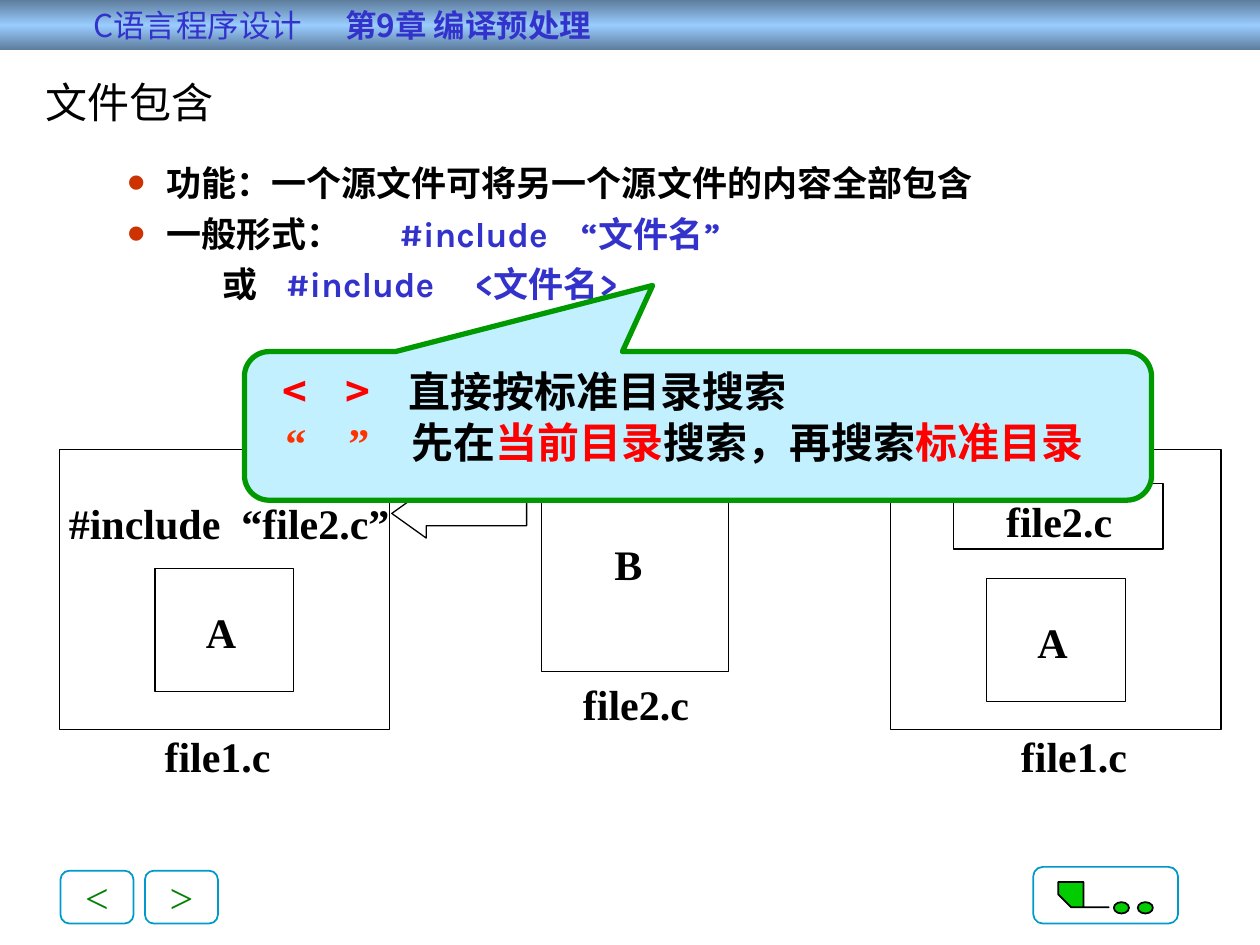
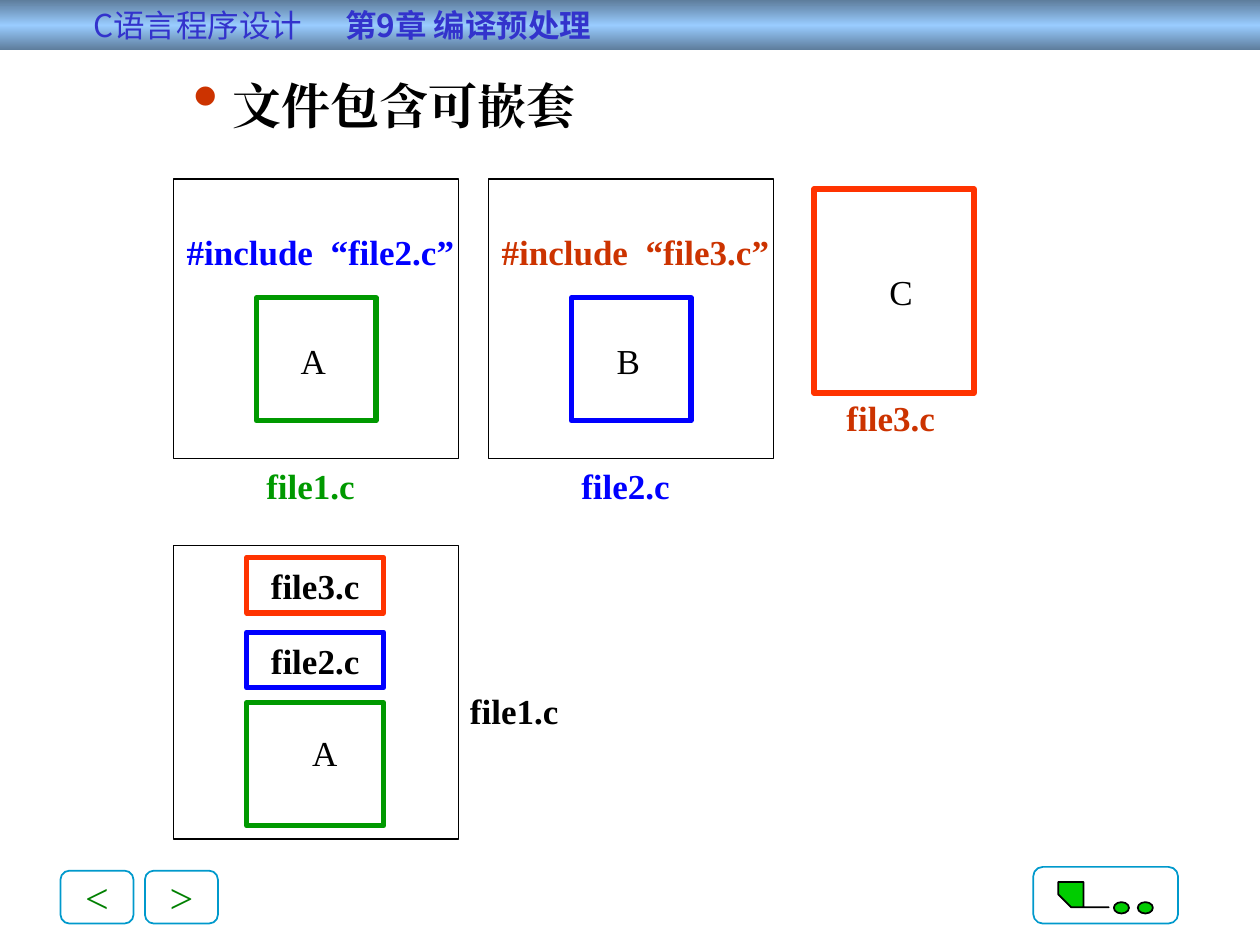
from copy import deepcopy
from dataclasses import dataclass

from pptx import Presentation, util as u
from pptx.dml.color import RGBColor
from pptx.enum import shapes, text
from pptx.oxml import ns
from lxml import etree

COLUMNS, ROWS = 100, 75
CELL = u.Inches(0.1)
SHAPE = shapes.MSO_SHAPE


class Theme:
    black, indigo, red, orange, rust = "000000", "3333CC", "FF0000", "FF3300", "CC3300"
    blue, green, dark_green, leaf = "0000FF", "009900", "008000", "00CC00"
    teal, sky, band_edge, band_middle = "0099CC", "C2F0FF", "5D7C9B", "99CCFF"
    cjk, latin, serif = "Noto Sans CJK SC", "Karla", "Times New Roman"
    band_size, body_size, title_size, topic_size = 18, 20, 24, 28
    thin, edge, thick = 0.75, 1, 3


@dataclass
class Box:
    """A region in columns and rows of the slide grid."""
    left: float
    top: float
    width: float
    height: float

    def share(self, x, y, width, height):
        return Box(self.left + x * self.width, self.top + y * self.height,
                   width * self.width, height * self.height)

    def point(self, x, y):
        return self.left + x * self.width, self.top + y * self.height

    def emu(self):
        return [round(v * CELL) for v in (self.left, self.top, self.width, self.height)]


SLIDE = Box(0, 0, COLUMNS, ROWS)


# Text helpers
def write(para, words, font=Theme.serif, size=Theme.body_size, color=Theme.black, bold=False):
    span = para.add_run()
    span.text = words
    span.font.name, span.font.size, span.font.bold = font, u.Pt(size), bold
    span.font.color.rgb = RGBColor.from_string(color)
    east_asian = etree.SubElement(span.font._element, ns.qn("a:ea"))
    east_asian.set("typeface", font)


def layout_para(para, margin=0, hang=0, bullet=False, tabs=(), before=0, align="LEFT"):
    """Set indents and tab stops (in columns), the bullet and the spacing."""
    props = para._p.get_or_add_pPr()
    props.set("marL", str(round(margin * CELL)))
    props.set("indent", str(round(-hang * CELL)))
    para.alignment = text.PP_ALIGN[align]
    para.space_before = u.Pt(before)

    def add(parent, tag, **values):
        child = etree.SubElement(parent, ns.qn(tag))
        for name, value in values.items():
            child.set(name, value)
        return child

    if bullet:
        add(add(props, "a:buClr"), "a:srgbClr", val=Theme.rust)
        add(props, "a:buSzPct", val="150000")
        add(props, "a:buChar", char="•")
    else:
        add(props, "a:buNone")
    if tabs:
        stops = add(props, "a:tabLst")
        for stop in tabs:
            add(stops, "a:tab", pos=str(round(stop * CELL)), algn="l")


def prepare(frame, anchor="TOP", wrap=True):
    frame.auto_size = text.MSO_AUTO_SIZE.NONE
    frame.word_wrap = wrap
    frame.vertical_anchor = text.MSO_ANCHOR[anchor]
    frame.margin_left = frame.margin_right = CELL
    frame.margin_top = frame.margin_bottom = CELL // 2
    return frame


def place(holder, box):
    holder.left, holder.top, holder.width, holder.height = box.emu()
    return prepare(holder.text_frame)


def label(page, center, words, size, **style):
    """Centre one line of text on a point of the grid."""
    width, height = len(words) * size * 0.08 + 2, size * 0.21
    box = Box(center[0] - width / 2, center[1] - height / 2, width, height)
    frame = prepare(page.shapes.add_textbox(*box.emu()).text_frame, "MIDDLE", wrap=False)
    layout_para(frame.paragraphs[0], align="CENTER")
    write(frame.paragraphs[0], words, size=size, **style)


# Shape helpers
def finish(shape, fill=None, line=Theme.black, weight=Theme.thin):
    shape.shadow.inherit = False
    if fill:
        shape.fill.solid()
        shape.fill.fore_color.rgb = RGBColor.from_string(fill)
    else:
        shape.fill.background()
    shape.line.color.rgb = RGBColor.from_string(line)
    shape.line.width = u.Pt(weight)
    return shape


def draw(page, kind, box, **style):
    return finish(page.shapes.add_shape(kind, *box.emu()), **style)


def curve(start, first, second, end, steps=10):
    """Points of a cubic curve, without its start."""
    for step in range(1, steps + 1):
        t = step / steps
        yield tuple((1 - t) ** 3 * a + 3 * (1 - t) ** 2 * t * b
                    + 3 * (1 - t) * t ** 2 * c + t ** 3 * d
                    for a, b, c, d in zip(start, first, second, end))


# Parts found on every slide
def header_band(page, box):
    band = draw(page, SHAPE.RECTANGLE, box)
    band.line.fill.background()
    band.fill.gradient()
    band.fill.gradient_angle = 90
    stops = band._element.find(".//" + ns.qn("a:gsLst"))
    stops.append(deepcopy(stops[0]))
    colors = Theme.band_edge, Theme.band_middle, Theme.band_edge
    for stop, color, position in zip(band.fill.gradient_stops, colors, (0, 0.5, 1)):
        stop.color.rgb = RGBColor.from_string(color)
        stop.position = position
    frame = prepare(band.text_frame, "MIDDLE")
    frame.margin_left = round(7.4 * CELL)
    para = frame.paragraphs[0]
    layout_para(para, tabs=[51.6])
    style = dict(font=Theme.cjk, size=Theme.band_size, color=Theme.indigo)
    write(para, "C语言程序设计\t", **style)
    write(para, "第9章 编译预处理", bold=True, **style)


def rounded_button(page, box):
    button = draw(page, SHAPE.ROUNDED_RECTANGLE, box, line=Theme.teal, weight=Theme.edge)
    button.adjustments[0] = 0.17
    return button


def return_button(page, box):
    def at(x, y):
        return box.left + x, box.top + y

    outer = curve(at(2.3, 2.1), at(2.3, 3), at(3.1, 3.7), at(4.2, 3.7))
    inner = curve(at(4.2, 2.9), at(3.8, 2.9), at(3.6, 2.5), at(3.6, 2.1))
    outline = [at(1.7, 1.7), at(2.3, 1.7), at(2.3, 2.1), *outer, at(6.1, 3.7),
               at(6.1, 2.9), at(4.2, 2.9), *inner, at(3.6, 1.7), at(4.2, 1.7)]
    builder = page.shapes.build_freeform(*at(2.9, 0.8), scale=CELL)
    builder.add_line_segments(outline, close=True)
    green = dict(fill=Theme.leaf, weight=Theme.edge)
    finish(builder.convert_to_shape(), **green)
    for x in (6.4, 8.3):
        draw(page, SHAPE.OVAL, Box(*at(x, 2.8), 1.2, 0.9), **green)
    rounded_button(page, box)


def navigation(page, box):
    for index, sign in enumerate("<>"):
        key = Box(box.left + index * 6.7, box.top + 0.3, 5.8, 4.2)
        rounded_button(page, key)
        label(page, key.point(0.5, 0.5), sign, Theme.title_size, color=Theme.dark_green)
    return_button(page, Box(box.left + 77.2, box.top, 11.5, 4.5))


def new_page(deck, layout):
    page = deck.slides.add_slide(deck.slide_layouts.get_by_name(layout))
    header_band(page, Box(0, 0, COLUMNS, 4))
    navigation(page, Box(4.8, 68.8, 88.7, 4.5))
    return page


# Diagrams of source files
def file_box(page, box, letter, letter_at, name, name_at, size, bold=True,
             name_color=Theme.black, **line):
    """A file with its content letter and its name."""
    draw(page, SHAPE.RECTANGLE, box, **line)
    label(page, box.point(*letter_at), letter, size, bold=bold)
    label(page, box.point(*name_at), name, size, bold=True, color=name_color)


def including_file(page, box, letter, name, included, size, bold=True,
                   name_color=Theme.black, include_color=Theme.black, **line):
    """A file that holds an include line above its own content."""
    file_box(page, box, letter, (0.49, 0.65), name, (0.48, 1.095), size, bold, name_color)
    draw(page, SHAPE.RECTANGLE, box.share(0.29, 0.425, 0.42, 0.44), **line)
    label(page, box.point(0.515, 0.26), f"#include  “{included}”", size,
          bold=True, color=include_color)


def include_diagram(page, box):
    size = Theme.title_size
    including_file(page, Box(box.left, box.top, 26.2, 22.2), "A", "file1.c", "file2.c", size)
    arrow = draw(page, SHAPE.LEFT_ARROW, Box(box.left + 26.4, box.top + 3.1, 10.7, 3.9))
    arrow.adjustments[1] = 0.7
    file_box(page, Box(box.left + 38.3, box.top + 1.4, 14.8, 16.2),
             "B", (0.465, 0.47), "file2.c", (0.505, 1.16), size)
    # Result of the inclusion
    result = Box(box.left + 66, box.top, 26.2, 22.2)
    file_box(page, result, "A", (0.49, 0.685), "file1.c", (0.555, 1.095), size)
    draw(page, SHAPE.RECTANGLE, result.share(0.29, 0.46, 0.42, 0.44))
    draw(page, SHAPE.RECTANGLE, result.share(0.19, 0.12, 0.635, 0.235))
    label(page, result.point(0.51, 0.255), "file2.c", size, bold=True)


def nested_sources(page, box):
    size = Theme.body_size
    files = [("A", "file1.c", "file2.c", Theme.green, Theme.blue),
             ("B", "file2.c", "file3.c", Theme.blue, Theme.rust)]
    for index, (letter, name, included, color, include_color) in enumerate(files):
        including_file(page, Box(box.left + index * 25, box.top, 22.6, 22.2), letter, name,
                       included, size, bold=False, name_color=color,
                       include_color=include_color, line=color, weight=Theme.thick)
    file_box(page, Box(box.left + 50.8, box.top + 0.8, 12.7, 16.2), "C", (0.545, 0.5),
             "file3.c", (0.48, 1.117), size, bold=False, name_color=Theme.rust,
             line=Theme.orange, weight=Theme.thick)


def nested_result(page, box):
    size = Theme.body_size
    file_box(page, box, "A", (0.53, 0.705), "file1.c", (1.195, 0.56), size, bold=False)
    parts = [("file3.c", Theme.orange, 0.04, 0.19), ("file2.c", Theme.blue, 0.295, 0.19),
             ("", Theme.green, 0.535, 0.42)]
    for name, color, top, height in parts:
        part = box.share(0.256, top, 0.48, height)
        draw(page, SHAPE.RECTANGLE, part, line=color, weight=Theme.thick)
        if name:
            label(page, part.point(0.5, 0.5), name, size, bold=True)


# Parts of the include slide
def include_syntax(holder, box):
    frame = place(holder, box)
    lines = [
        (dict(margin=8.1, hang=3.1, bullet=True),
         [("功能：一个源文件可将另一个源文件的内容全部包含", Theme.black)]),
        (dict(margin=8.1, hang=3.1, bullet=True, tabs=[26.6, 41], before=5),
         [("一般形式：\t", Theme.black), ("#include\t“文件名”", Theme.indigo)]),
        (dict(margin=12.6, tabs=[18.7, 33.2], before=5),
         [("或\t", Theme.black), ("#include\t<文件名>", Theme.indigo)]),
    ]
    fill_lines(frame, lines, font=Theme.latin, size=Theme.body_size)


def fill_lines(frame, lines, **style):
    for index, (layout, spans) in enumerate(lines):
        para = frame.add_paragraph() if index else frame.paragraphs[0]
        layout_para(para, **layout)
        for words, color, *font in spans:
            write(para, words, color=color, bold=True,
                  **{**style, **({"font": font[0]} if font else {})})


def search_callout(page, box):
    callout = draw(page, SHAPE.ROUNDED_RECTANGULAR_CALLOUT, box, fill=Theme.sky,
                   line=Theme.green, weight=Theme.thick)
    for index, value in enumerate((-0.05, -0.945, 0.167)):
        callout.adjustments[index] = value
    frame = prepare(callout.text_frame)
    lines = [
        (dict(margin=1.5, tabs=[5, 9.2]),
         [("<\t>\t", Theme.red), ("直接按标准目录搜索", Theme.black)]),
        (dict(margin=1.7, tabs=[6.1, 11.2]),
         [("“\t”\t", Theme.orange, Theme.serif), ("先在", Theme.black),
          ("当前目录", Theme.red), ("搜索，再搜索", Theme.black), ("标准目录", Theme.red)]),
    ]
    fill_lines(frame, lines, font=Theme.cjk, size=Theme.title_size)
    for para in frame.paragraphs:
        para.line_spacing = u.Pt(29)


# Slides
def include_page(deck):
    page = new_page(deck, "Title and Content")
    para = place(page.shapes.title, Box(2.6, 5.6, 95.4, 11.2)).paragraphs[0]
    layout_para(para)
    write(para, "文件包含", font=Theme.latin, size=Theme.title_size)
    include_syntax(page.placeholders[1], Box(4.1, 12.3, 92.3, 24.8))
    include_diagram(page, Box(4.7, 35.7, 92.2, 26.8))
    search_callout(page, Box(19.4, 27.9, 72, 11.8))


def nesting_page(deck):
    page = new_page(deck, "Title Only")
    para = place(page.shapes.title, Box(5.2, 5.5, 45.6, 5.5)).paragraphs[0]
    layout_para(para, margin=8.1, hang=3.1, bullet=True, align="CENTER")
    write(para, "文件包含可嵌套", size=Theme.topic_size, bold=True)
    nested_sources(page, Box(13.8, 14.2, 63.5, 26.5))
    nested_result(page, Box(13.8, 43.3, 22.6, 23.3))


def main():
    deck = Presentation()
    deck.slide_width, deck.slide_height = SLIDE.emu()[2:]
    include_page(deck)
    nesting_page(deck)
    deck.save("out.pptx")


if __name__ == "__main__":
    main()
